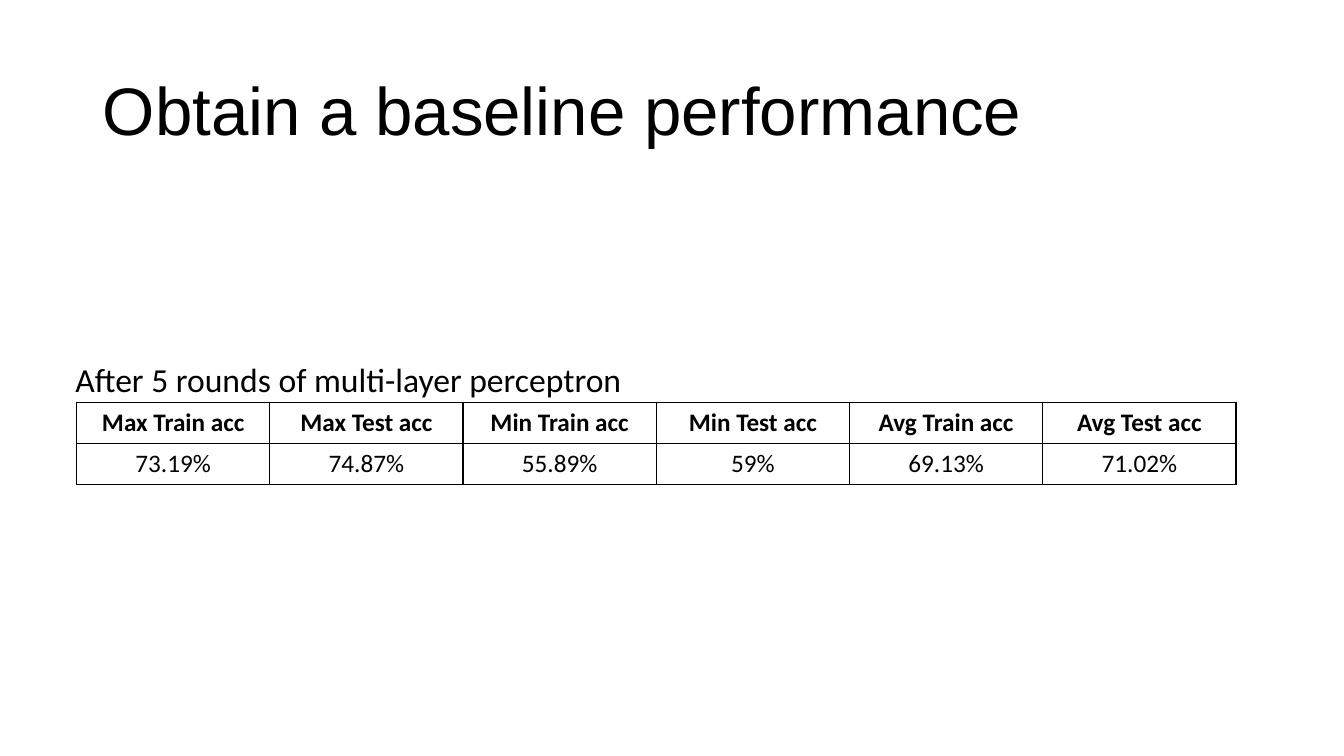
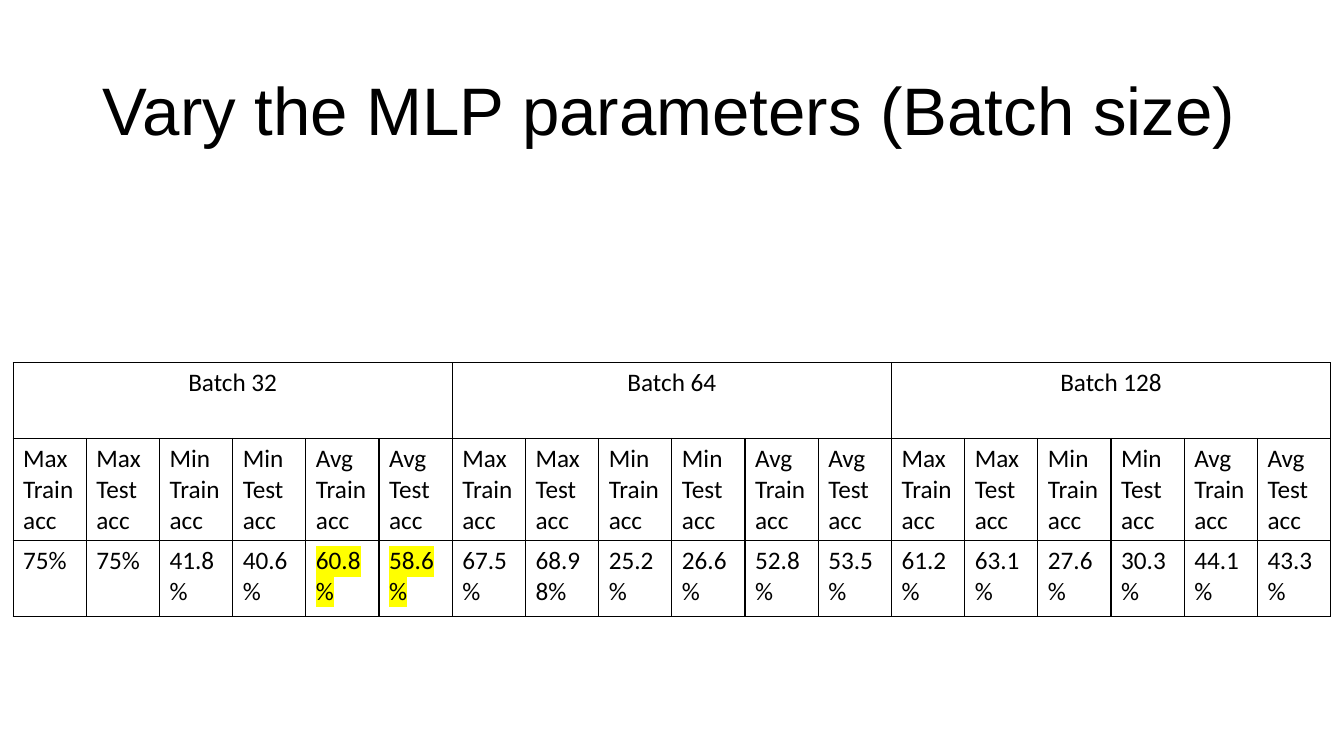
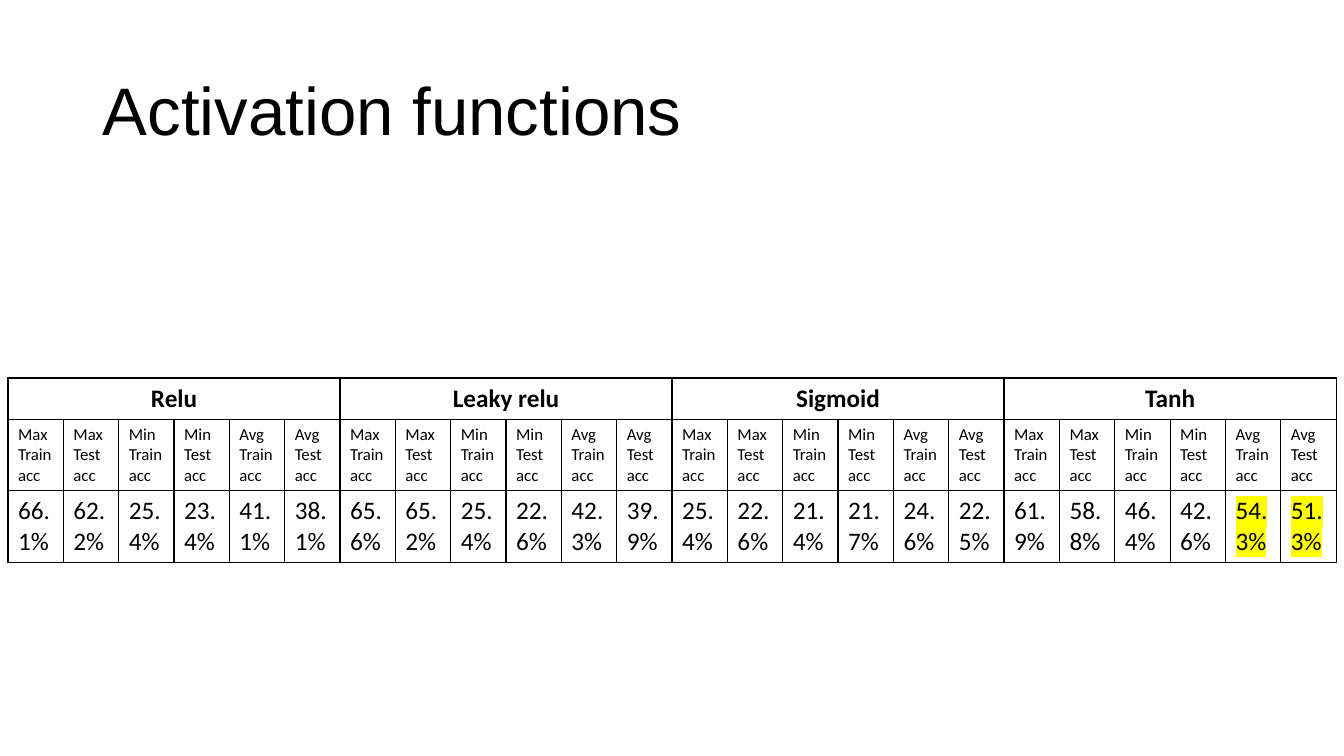
from itertools import product

from lxml.etree import SubElement
from pptx import Presentation
from pptx.dml.color import RGBColor
from pptx.enum.text import MSO_ANCHOR, PP_ALIGN
from pptx.oxml import parse_xml
from pptx.oxml.ns import nsdecls, qn
from pptx.util import Inches, Pt

BLACK = RGBColor(0x00, 0x00, 0x00)
YELLOW = RGBColor(0xFF, 0xFF, 0x00)
TITLE_FONT, BODY_FONT = "Arial", "Calibri"
METRICS = ["Max Train acc", "Max Test acc", "Min Train acc",
           "Min Test acc", "Avg Train acc", "Avg Test acc"]
BATCH_METRICS = ["Max\nTrain acc", "Max\nTest\nacc"] + METRICS[2:]
ACTIVATION_METRICS = ["Max Train acc", "Max\nTest acc"] + METRICS[2:]
BASELINE = ["73.19%", "74.87%", "55.89%", "59%", "69.13%", "71.02%"]
BATCHES = {
    "Batch 32": ["75%", "75%", "41.8%", "40.6%", "60.8%", "58.6%"],
    "Batch 64": ["67.5%", "68.98%", "25.2%", "26.6%", "52.8%", "53.5%"],
    "Batch 128": ["61.2%", "63.1%", "27.6%", "30.3%", "44.1%", "43.3%"],
}
ACTIVATIONS = {
    "Relu": ["66.1%", "62.2%", "25.4%", "23.4%", "41.1%", "38.1%"],
    "Leaky relu": ["65.6%", "65.2%", "25.4%", "22.6%", "42.3%", "39.9%"],
    "Sigmoid": ["25.4%", "22.6%", "21.4%", "21.7%", "24.6%", "22.5%"],
    "Tanh": ["61.9%", "58.8%", "46.4%", "42.6%", "54.3%", "51.3%"],
}


def style(p, size, name=BODY_FONT, bold=False, align=PP_ALIGN.LEFT):
    """Set the font and alignment of a paragraph."""
    p.alignment = align
    p.font.size, p.font.name, p.font.bold = Pt(size), name, bold
    p.font.color.rgb = BLACK


def add_titled_slide(prs, title):
    """Add a slide with the shared title."""
    s = prs.slides.add_slide(prs.slide_layouts[5])
    sp = s.shapes.title
    sp.left, sp.top = Inches(0.92), Inches(0.4)
    sp.width, sp.height = Inches(11.5), Inches(1.45)
    tf = sp.text_frame
    tf.text = title
    tf.vertical_anchor = MSO_ANCHOR.MIDDLE
    p = tf.paragraphs[0]
    style(p, 48, TITLE_FONT)
    p.line_spacing = 0.9
    return s


def add_borders(cell):
    """Draw a thin black line on each side of a cell."""
    tc_pr = cell._tc.get_or_add_tcPr()
    for i, side in enumerate(("lnL", "lnR", "lnT", "lnB")):
        tc_pr.insert(i, parse_xml(
            f'<a:{side} {nsdecls("a")} w="{Pt(1)}"><a:solidFill>'
            f'<a:srgbClr val="{BLACK}"/></a:solidFill></a:{side}>'))


def fill_cell(cell, text, size=18, bold=False, align=PP_ALIGN.LEFT):
    """Write and format the text of a cell."""
    cell.text = text
    for p in cell.text_frame.paragraphs:
        style(p, size, bold=bold, align=align)


def highlight(cell):
    """Mark the text of a cell in yellow."""
    for p in cell.text_frame.paragraphs:
        for r in p.runs:
            mark = SubElement(r._r.get_or_add_rPr(), qn("a:highlight"))
            SubElement(mark, qn("a:srgbClr"), val=str(YELLOW))


def add_grid(s, box, rows, cols, row_height):
    """Add a bordered table without fills and with equal columns."""
    left, top, width = map(Inches, box)
    row_height = Inches(row_height)
    tbl = s.shapes.add_table(rows, cols, left, top, width,
                             row_height * rows).table
    tbl.first_row = tbl.horz_banding = False
    for col in tbl.columns:
        col.width = width // cols
    for row in tbl.rows:
        row.height = row_height
    for i, j in product(range(rows), range(cols)):
        tbl.cell(i, j).fill.background()
        add_borders(tbl.cell(i, j))
    return tbl


def add_baseline_table(s, box):
    """Add the baseline accuracies with their caption above."""
    left, top, _ = box
    sp = s.shapes.add_textbox(Inches(left - 0.11), Inches(top - 0.48),
                              Inches(7.12), Inches(0.5))
    tf = sp.text_frame
    tf.word_wrap = True
    tf.text = "After 5 rounds of multi-layer perceptron"
    style(tf.paragraphs[0], 24)
    tbl = add_grid(s, box, 2, len(METRICS), 0.41)
    for j, (metric, value) in enumerate(zip(METRICS, BASELINE)):
        fill_cell(tbl.cell(0, j), metric, bold=True, align=PP_ALIGN.CENTER)
        fill_cell(tbl.cell(1, j), value, align=PP_ALIGN.CENTER)


def add_group_table(s, box, groups, metrics, best, row_height,
                    metric_size=18, bold=False):
    """Add accuracies by group, with the best group's averages marked."""
    n = len(metrics)
    tbl = add_grid(s, box, 3, n * len(groups), row_height)
    for g, (group, values) in enumerate(groups.items()):
        first = g * n
        head = tbl.cell(0, first)
        head.merge(tbl.cell(0, first + n - 1))
        fill_cell(head, group, bold=bold, align=PP_ALIGN.CENTER)
        for j, (metric, value) in enumerate(zip(metrics, values), first):
            fill_cell(tbl.cell(1, j), metric, metric_size)
            fill_cell(tbl.cell(2, j), value)
            if group == best and metric.startswith("Avg"):
                highlight(tbl.cell(2, j))


def main():
    """Build the three slides and save them."""
    prs = Presentation()
    prs.slide_width, prs.slide_height = Inches(13.33), Inches(7.5)
    s = add_titled_slide(prs, "Obtain a baseline performance")
    add_baseline_table(s, (0.76, 3.99, 11.5))
    s = add_titled_slide(prs, "Vary the MLP parameters (Batch size)")
    add_group_table(s, (0.13, 3.6, 13.07), BATCHES, BATCH_METRICS,
                    "Batch 32", 0.75)
    s = add_titled_slide(prs, "Activation functions")
    add_group_table(s, (0.08, 3.75, 13.18), ACTIVATIONS, ACTIVATION_METRICS,
                    "Tanh", 0.41, metric_size=12, bold=True)
    prs.save("out.pptx")


if __name__ == "__main__":
    main()
